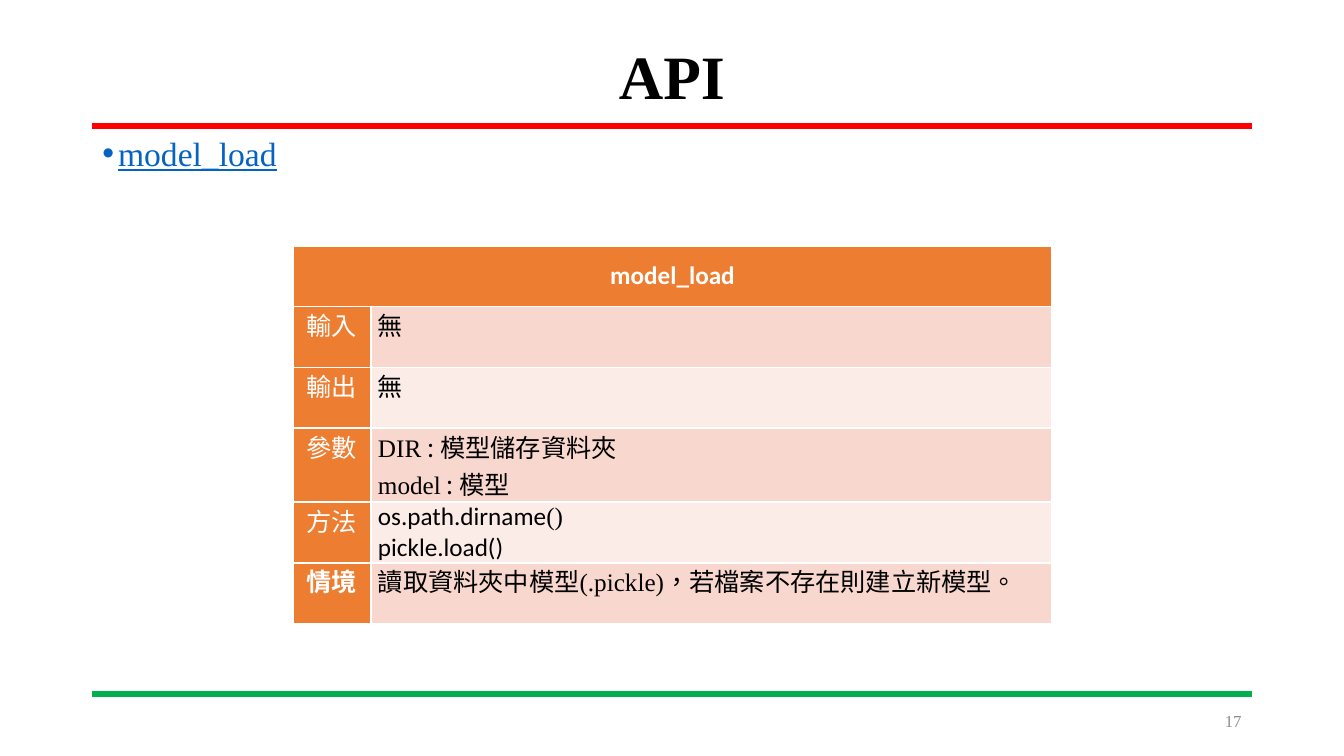
from dataclasses import dataclass

from lxml import etree
from pptx import Presentation
from pptx.dml.color import RGBColor
from pptx.enum.shapes import MSO_CONNECTOR
from pptx.enum.text import MSO_ANCHOR, PP_ALIGN
from pptx.oxml.ns import qn
from pptx.util import Emu, Pt

STRAIGHT = MSO_CONNECTOR.STRAIGHT
TOP, MIDDLE = MSO_ANCHOR.TOP, MSO_ANCHOR.MIDDLE
LEFT, CENTER, RIGHT = PP_ALIGN.LEFT, PP_ALIGN.CENTER, PP_ALIGN.RIGHT
EMU_PER_PX = 9525


@dataclass(frozen=True)
class Theme:
    """Colours, fonts and sizes of the slide."""
    ink: str = "000000"
    paper: str = "FFFFFF"
    top_rule: str = "FF0000"
    bottom_rule: str = "00B050"
    accent: str = "ED7D31"
    bands: tuple = ("F8D7CE", "FCECE8")
    link: str = "0563C1"
    muted: str = "8C8C8C"
    serif: str = "Times New Roman"
    sans: str = "Calibri"
    cjk: str = "Noto Sans CJK SC"
    language: str = "zh-TW"
    title_size: int = 44
    topic_size: int = 24
    table_size: int = 18
    number_size: int = 12
    rule_width: float = 4.5
    border_width: float = 1.5


THEME = Theme()
ROW_HEIGHT, TALL_ROW_HEIGHT = 58, 70
API_ROWS = [
    ("輸入", False, ROW_HEIGHT, [[("無", THEME.serif)]]),
    ("輸出", False, ROW_HEIGHT, [[("無", THEME.serif)]]),
    ("參數", False, TALL_ROW_HEIGHT, [[("DIR ", THEME.serif), (": 模型儲存資料夾", THEME.cjk)],
                                    [("model", THEME.serif), (" : 模型", THEME.cjk)]]),
    ("方法", False, ROW_HEIGHT, [[("os.path.dirname", THEME.sans), ("()", THEME.serif)],
                               [("pickle.load()", THEME.sans)]]),
    ("情境", True, ROW_HEIGHT, [[("讀取資料夾中模型", THEME.cjk), ("(.pickle)", THEME.serif),
                               ("，若檔案不存在則建立新模型。", THEME.cjk)]]),
]


def px(length):
    """Turn pixels into EMU."""
    return Emu(length * EMU_PER_PX)


def apply_format(target, values):
    """Set every attribute named in values on target."""
    for name, value in values.items():
        setattr(target, name, value)


def add_run(paragraph, text, face, size, color, bold=False, underline=False):
    """Append a formatted run to the paragraph."""
    run = paragraph.add_run()
    run.text = text
    apply_format(run.font, {"name": face, "size": Pt(size), "bold": bold, "underline": underline})
    run.font.color.rgb = RGBColor.from_string(color)
    run.font._element.set("lang", THEME.language)
    etree.SubElement(run.font._element, qn("a:ea"), typeface=THEME.cjk)


def add_text(slide, box, text, size, color, align, anchor, spacing=None, **look):
    """Place a one-line text box and return its paragraph."""
    frame = slide.shapes.add_textbox(*map(px, box)).text_frame
    apply_format(frame, {"word_wrap": True, "vertical_anchor": anchor})
    paragraph = frame.paragraphs[0]
    apply_format(paragraph, {"alignment": align, "line_spacing": spacing})
    add_run(paragraph, text, THEME.serif, size, color, **look)
    return paragraph


def add_rule(slide, left, top, width, color):
    """Draw a horizontal coloured rule."""
    rule = slide.shapes.add_connector(STRAIGHT, *map(px, (left, top, left + width, top)))
    rule.line.color.rgb = RGBColor.from_string(color)
    rule.line.width = Pt(THEME.rule_width)
    etree.SubElement(rule._element.spPr, qn("a:effectLst"))


def add_header(slide, box):
    """Place the title with the red rule under it."""
    left, top, width, height = box
    add_text(slide, (left, top, width, height - 6), "API", THEME.title_size, THEME.ink,
             CENTER, MIDDLE, 0.9, bold=True)
    add_rule(slide, left, top + height, width, THEME.top_rule)


def add_topic(slide, box):
    """Place the bulleted function name."""
    topic = add_text(slide, box, "model_load", THEME.topic_size, THEME.link,
                     LEFT, TOP, 0.9, underline=True)
    properties = topic._p.get_or_add_pPr()
    properties.set("marL", str(px(15)))
    properties.set("indent", str(px(-15)))
    etree.SubElement(properties, qn("a:buFont"), typeface="Arial")
    etree.SubElement(properties, qn("a:buChar"), char="•")


def format_cell(cell, fill, anchor=TOP):
    """Give a cell its margins, white borders and fill."""
    apply_format(cell, {"margin_left": px(7), "margin_right": px(7), "margin_top": 0,
                        "margin_bottom": 0, "vertical_anchor": anchor})
    for side in "LRTB":
        border = etree.SubElement(cell._tc.get_or_add_tcPr(), qn(f"a:ln{side}"),
                                  w=str(Pt(THEME.border_width)))
        solid = etree.SubElement(border, qn("a:solidFill"))
        etree.SubElement(solid, qn("a:srgbClr"), val=THEME.paper)
    cell.fill.solid()
    cell.fill.fore_color.rgb = RGBColor.from_string(fill)


def fill_cell(cell, lines, color, align, bold=False):
    """Write lines of (text, face) runs into a cell."""
    frame = cell.text_frame
    for index, line in enumerate(lines):
        paragraph = frame.add_paragraph() if index else frame.paragraphs[0]
        paragraph.alignment = align
        for text, face in line:
            add_run(paragraph, text, face, THEME.table_size, color, bold)


def add_api_table(slide, box):
    """Place the table that describes the function."""
    width = box[2]
    table = slide.shapes.add_table(len(API_ROWS) + 1, 2, *map(px, box)).table
    apply_format(table, {"first_row": False, "horz_banding": False})
    label_width = 74
    for column, column_width in zip(table.columns, (label_width, width - label_width)):
        column.width = px(column_width)

    table.rows[0].height = px(ROW_HEIGHT)
    header = table.cell(0, 0)
    header.merge(table.cell(0, 1))
    for column in range(2):
        format_cell(table.cell(0, column), THEME.accent, MIDDLE)
    fill_cell(header, [[("model_load", THEME.sans)]], THEME.paper, CENTER, bold=True)

    for index, (label, bold, height, lines) in enumerate(API_ROWS):
        table.rows[index + 1].height = px(height)
        label_cell, detail_cell = table.cell(index + 1, 0), table.cell(index + 1, 1)
        format_cell(label_cell, THEME.accent)
        fill_cell(label_cell, [[(label, THEME.cjk)]], THEME.paper, CENTER, bold)
        format_cell(detail_cell, THEME.bands[index % 2])
        fill_cell(detail_cell, lines, THEME.ink, LEFT)


def add_footer(slide, box):
    """Place the green rule with the slide number under it."""
    left, top, width, height = box
    add_rule(slide, left, top, width, THEME.bottom_rule)
    number_width = 288
    add_text(slide, (left + width - number_width, top + 6, number_width, height - 6), "17",
             THEME.number_size, THEME.muted, RIGHT, MIDDLE)


def main():
    """Build the slide and save it."""
    deck = Presentation()
    apply_format(deck, {"slide_width": px(1280), "slide_height": px(720)})
    slide = deck.slides.add_slide(deck.slide_layouts[6])
    add_header(slide, (88, 38, 1104, 82))
    add_topic(slide, (88, 126, 1104, 529))
    add_api_table(slide, (279, 234, 723, 5 * ROW_HEIGHT + TALL_ROW_HEIGHT))
    add_footer(slide, (88, 661, 1104, 44))
    deck.save("out.pptx")


if __name__ == "__main__":
    main()
